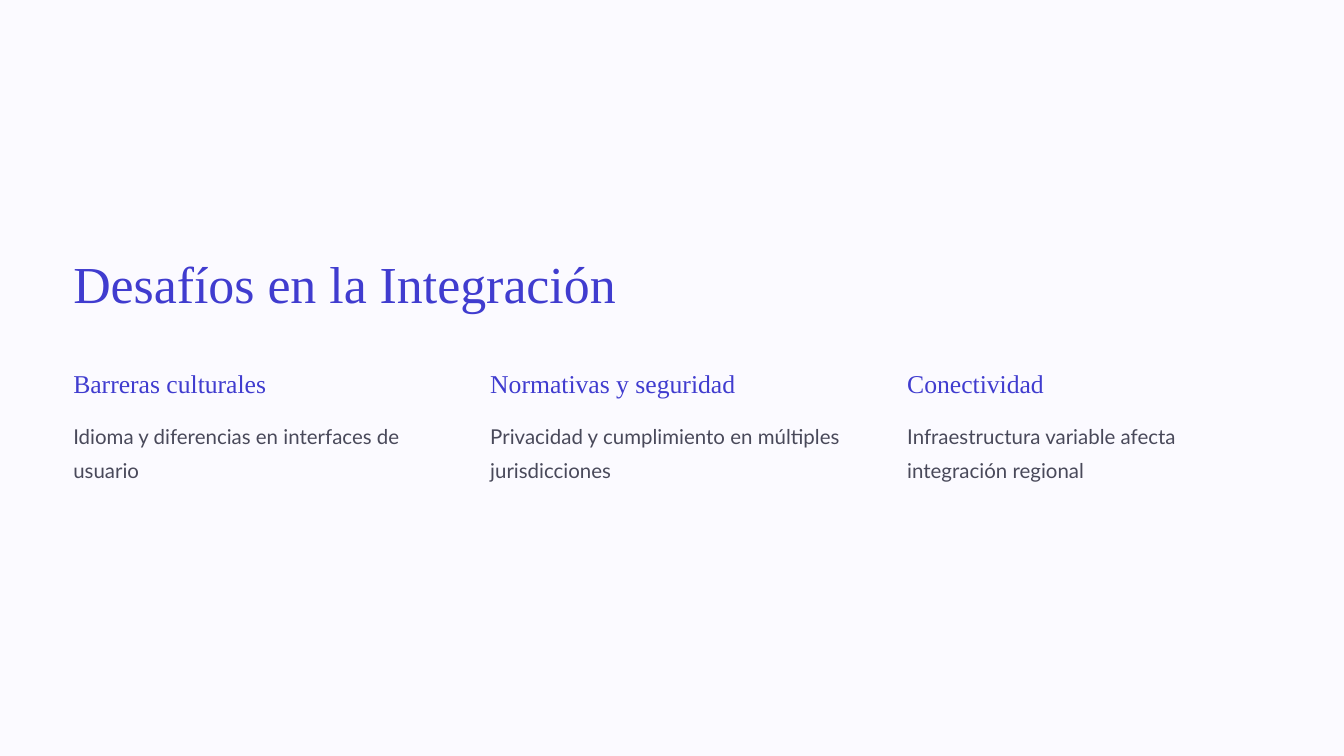
from dataclasses import dataclass

from pptx import Presentation
from pptx.dml.color import RGBColor
from pptx.enum.shapes import MSO_SHAPE
from pptx.slide import Slide
from pptx.util import Cm, Pt

SLIDE_WIDTH, SLIDE_HEIGHT = 50.8, 28.58
LEFT_MARGIN = 2.77
COLUMN_PITCH = 15.76
COLUMN_WIDTH = 13.82

CHALLENGES = [
    ("Barreras culturales", 9.86, "Idioma y diferencias en interfaces de usuario"),
    ("Normativas y seguridad", 11.94, "Privacidad y cumplimiento en múltiples jurisdicciones"),
    ("Conectividad", 9.86, "Infraestructura variable afecta integración regional"),
]


def color(hex_code):
    return RGBColor.from_string(hex_code)


@dataclass
class SlideBuilder:
    slide: Slide
    heading_font: str = "Times New Roman"
    body_font: str = "Lato"
    accent: str = "403CCF"
    body_color: str = "49495A"

    def backdrop(self, fill):
        shape = self.slide.shapes.add_shape(
            MSO_SHAPE.RECTANGLE, 0, 0, Cm(SLIDE_WIDTH), Cm(SLIDE_HEIGHT)
        )
        shape.shadow.inherit = False
        shape.fill.solid()
        shape.fill.fore_color.rgb = color(fill)
        shape.line.fill.background()

    def text(self, content, left, top, width, height, size, spacing, font, ink):
        box = self.slide.shapes.add_textbox(Cm(left), Cm(top), Cm(width), Cm(height))
        frame = box.text_frame
        frame.word_wrap = True
        frame.margin_left = frame.margin_right = 0
        frame.margin_top = frame.margin_bottom = 0
        paragraph = frame.paragraphs[0]
        paragraph.line_spacing = Pt(spacing)
        run = paragraph.add_run()
        run.text = content
        run.font.name = font
        run.font.size = Pt(size)
        run.font.color.rgb = color(ink)

    def title(self, content):
        self.text(content, LEFT_MARGIN, 9.4, 26.04, 2.51, 55.6, 69.4,
                  self.heading_font, self.accent)

    def heading(self, content, left, width):
        self.text(content, left, 13.84, width, 1.27, 27.5, 34.4,
                  self.heading_font, self.accent)

    def body(self, content, left):
        self.text(content, left, 15.72, COLUMN_WIDTH, 2.69, 21.9, 35.6,
                  self.body_font, self.body_color)


def main():
    presentation = Presentation()
    presentation.slide_width = Cm(SLIDE_WIDTH)
    presentation.slide_height = Cm(SLIDE_HEIGHT)
    builder = SlideBuilder(presentation.slides.add_slide(presentation.slide_layouts[6]))

    for fill in ("F4F0FF", "FBFAFF"):
        builder.backdrop(fill)

    builder.title("Desafíos en la Integración")
    for index, (heading, heading_width, description) in enumerate(CHALLENGES):
        left = LEFT_MARGIN + index * COLUMN_PITCH
        builder.heading(heading, left, heading_width)
        builder.body(description, left)

    presentation.save("out.pptx")


if __name__ == "__main__":
    main()
